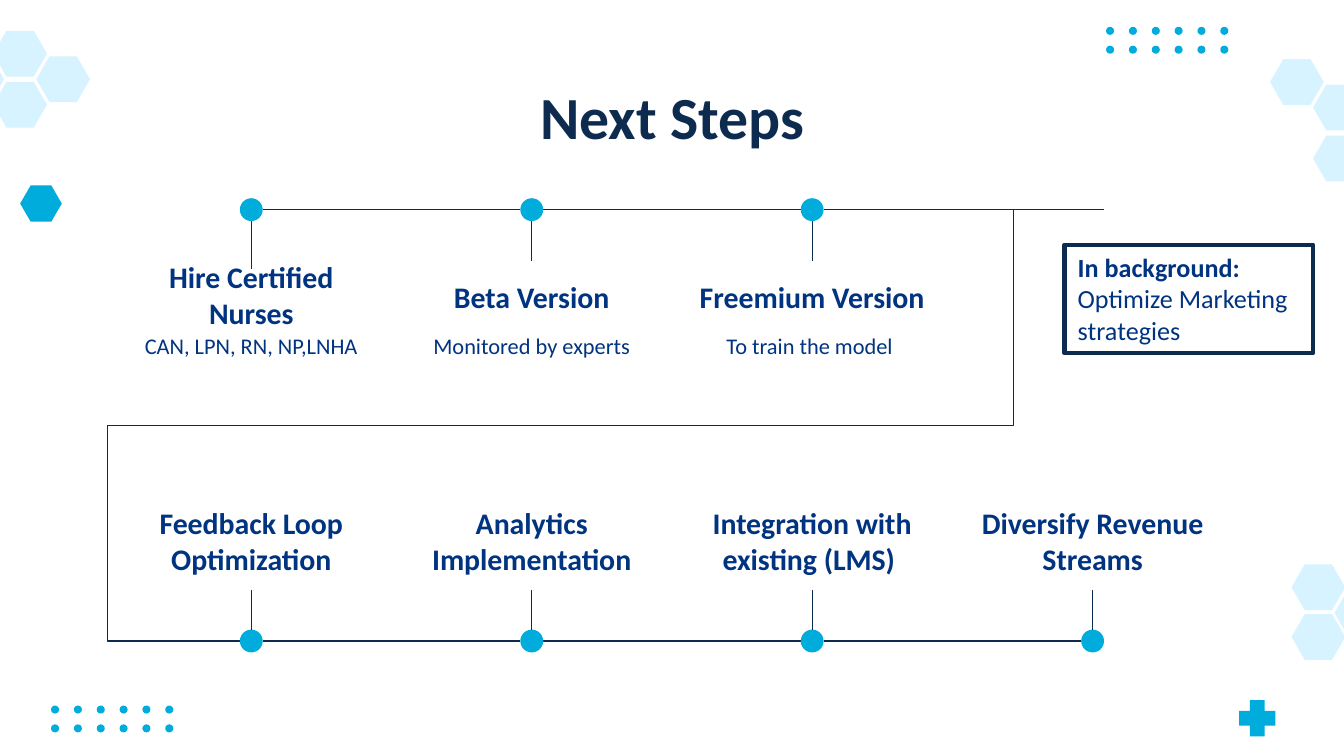
from itertools import product

from lxml.etree import SubElement
from pptx import Presentation
from pptx.dml.color import RGBColor
from pptx.enum.shapes import MSO_CONNECTOR, MSO_SHAPE
from pptx.enum.text import MSO_ANCHOR, MSO_AUTO_SIZE, PP_ALIGN
from pptx.oxml.ns import qn
from pptx.util import Inches, Pt

COLORS = {"navy": "0D2B4F", "text": "003380", "accent": "00ACDC", "pale": "D6F3FF"}
FONT = "Calibri"
SLIDE_WIDTH = Inches(10)
SLIDE_HEIGHT = SLIDE_WIDTH * 9 // 16
FIRST, LAST = 1.87, 8.13
PITCH = (LAST - FIRST) / 3
RADIUS = 0.085
UPPER, LOWER = 1.56, 4.77
STEM_END = 4.39
LABEL_WIDTH = 1.98

UPPER_STEPS = [
    ("Hire Certified Nurses", "CAN, LPN, RN, NP,LNHA", 2.06, 2.0),
    ("Beta Version", "Monitored by experts", 1.94, 1.94),
    ("Freemium Version", "To train the model ", 1.94, 1.94),
]
LOWER_STEPS = [
    "Feedback Loop Optimization",
    "Analytics Implementation",
    "Integration with existing (LMS) ",
    "Diversify Revenue Streams",
]
PALE_HEXAGONS = [
    (9.61, 4.2), (9.61, 4.57), (9.93, 4.39),
    (0.27, 0.42), (-0.05, 0.23), (-0.05, 0.61), (-0.37, 0.42),
    (9.77, 0.63), (9.45, 0.44), (9.77, 1.01),
]


def color(name):
    return RGBColor.from_string(COLORS[name])


def add_filled(slide, kind, left, top, width, height, fill, adjustment=None):
    shape = slide.shapes.add_shape(
        kind, Inches(left), Inches(top), Inches(width), Inches(height))
    shape.shadow.inherit = False
    shape.fill.solid()
    shape.fill.fore_color.rgb = color(fill)
    shape.line.fill.background()
    if adjustment is not None:
        shape.adjustments[0] = adjustment


def add_dot_grid(slide, left, top):
    for row, column in product(range(2), range(6)):
        add_filled(slide, MSO_SHAPE.OVAL, left + column * 0.17, top + row * 0.14,
                   0.06, 0.06, "accent")


def add_decorations(slide):
    add_dot_grid(slide, 0.38, 5.25)
    add_dot_grid(slide, 8.23, 0.2)
    for left, top in PALE_HEXAGONS:
        add_filled(slide, MSO_SHAPE.HEXAGON, left, top, 0.4, 0.34, "pale", 0.29)
    add_filled(slide, MSO_SHAPE.HEXAGON, 0.15, 1.38, 0.31, 0.27, "accent", 0.29)
    add_filled(slide, MSO_SHAPE.CROSS, 9.22, 5.21, 0.27, 0.27, "accent", 0.3)


def add_run(paragraph, text, size, bold=False, ink="text"):
    run = paragraph.add_run()
    run.text = text
    run.font.name = FONT
    run.font.size = Pt(size)
    run.font.bold = bold
    run.font.color.rgb = color(ink)


def set_insets(frame, vertical=0.1):
    frame.word_wrap = True
    frame.margin_left = frame.margin_right = Inches(0.1)
    frame.margin_top = frame.margin_bottom = Inches(vertical)


def add_title(slide, text):
    title = slide.shapes.title
    title.left, title.top = Inches(0.79), Inches(0.49)
    title.width, title.height = Inches(8.43), Inches(0.63)
    frame = title.text_frame
    set_insets(frame)
    frame.auto_size = MSO_AUTO_SIZE.NONE
    frame.vertical_anchor = MSO_ANCHOR.TOP
    frame.paragraphs[0].alignment = PP_ALIGN.CENTER
    add_run(frame.paragraphs[0], text, 32, True, "navy")


def add_label(slide, center, top, height, text, size, bold, anchor):
    label = slide.shapes.add_textbox(
        Inches(center - LABEL_WIDTH / 2), Inches(top), Inches(LABEL_WIDTH), Inches(height))
    frame = label.text_frame
    set_insets(frame)
    frame.vertical_anchor = anchor
    frame.paragraphs[0].alignment = PP_ALIGN.CENTER
    add_run(frame.paragraphs[0], text, size, bold)


def add_heading(slide, center, top, text):
    add_label(slide, center, top, 0.5, text, 16, True, MSO_ANCHOR.BOTTOM)


def add_line(slide, start, end, kind=MSO_CONNECTOR.STRAIGHT):
    line = slide.shapes.add_connector(
        kind, Inches(start[0]), Inches(start[1]), Inches(end[0]), Inches(end[1]))
    line.line.color.rgb = color("navy")
    line.line.width = Pt(0.75)
    SubElement(line._element.spPr, qn("a:effectLst"))
    return line


def add_row_link(slide):
    link = add_line(slide, (LAST + RADIUS, UPPER), (FIRST - RADIUS, LOWER), MSO_CONNECTOR.ELBOW)
    geometry = link._element.spPr.find(qn("a:prstGeom"))
    geometry.set("prst", "bentConnector5")
    guides = geometry.find(qn("a:avLst"))
    if guides is None:
        guides = SubElement(geometry, qn("a:avLst"))
    for number, value in enumerate((10500, 50000, 115300), 1):
        SubElement(guides, qn("a:gd"), name=f"adj{number}", fmla=f"val {value}")


def add_milestone(slide, center, level, stem_end):
    add_filled(slide, MSO_SHAPE.OVAL, center - RADIUS, level - RADIUS,
               2 * RADIUS, 2 * RADIUS, "accent")
    edge = level + RADIUS if stem_end > level else level - RADIUS
    add_line(slide, (center, edge), (center, stem_end))


def add_track(slide, level):
    for index in range(3):
        center = FIRST + index * PITCH
        add_line(slide, (center + RADIUS, level), (center + PITCH - RADIUS, level))


def add_background_note(slide):
    note = slide.shapes.add_textbox(Inches(7.92), Inches(1.82), Inches(1.85), Inches(0.81))
    note.line.color.rgb = color("navy")
    note.line.width = Pt(2.25)
    frame = note.text_frame
    set_insets(frame, 0.05)
    add_run(frame.paragraphs[0], "In background:", 14, True)
    add_run(frame.add_paragraph(), "Optimize Marketing strategies", 14)


def main():
    presentation = Presentation()
    presentation.slide_width, presentation.slide_height = SLIDE_WIDTH, SLIDE_HEIGHT
    slide = presentation.slides.add_slide(presentation.slide_layouts[5])
    add_decorations(slide)
    add_title(slide, "Next Steps")
    for level in (UPPER, LOWER):
        add_track(slide, level)
    add_row_link(slide)
    for index, (heading, detail, top, stem_end) in enumerate(UPPER_STEPS):
        center = FIRST + index * PITCH
        add_milestone(slide, center, UPPER, stem_end)
        add_heading(slide, center, top, heading)
        add_label(slide, center, 2.37, 0.35, detail, 12, False, MSO_ANCHOR.TOP)
    for index, heading in enumerate(LOWER_STEPS):
        center = FIRST + index * PITCH
        add_milestone(slide, center, LOWER, STEM_END)
        add_heading(slide, center, 3.89, heading)
    add_background_note(slide)
    presentation.save("out.pptx")


if __name__ == "__main__":
    main()
